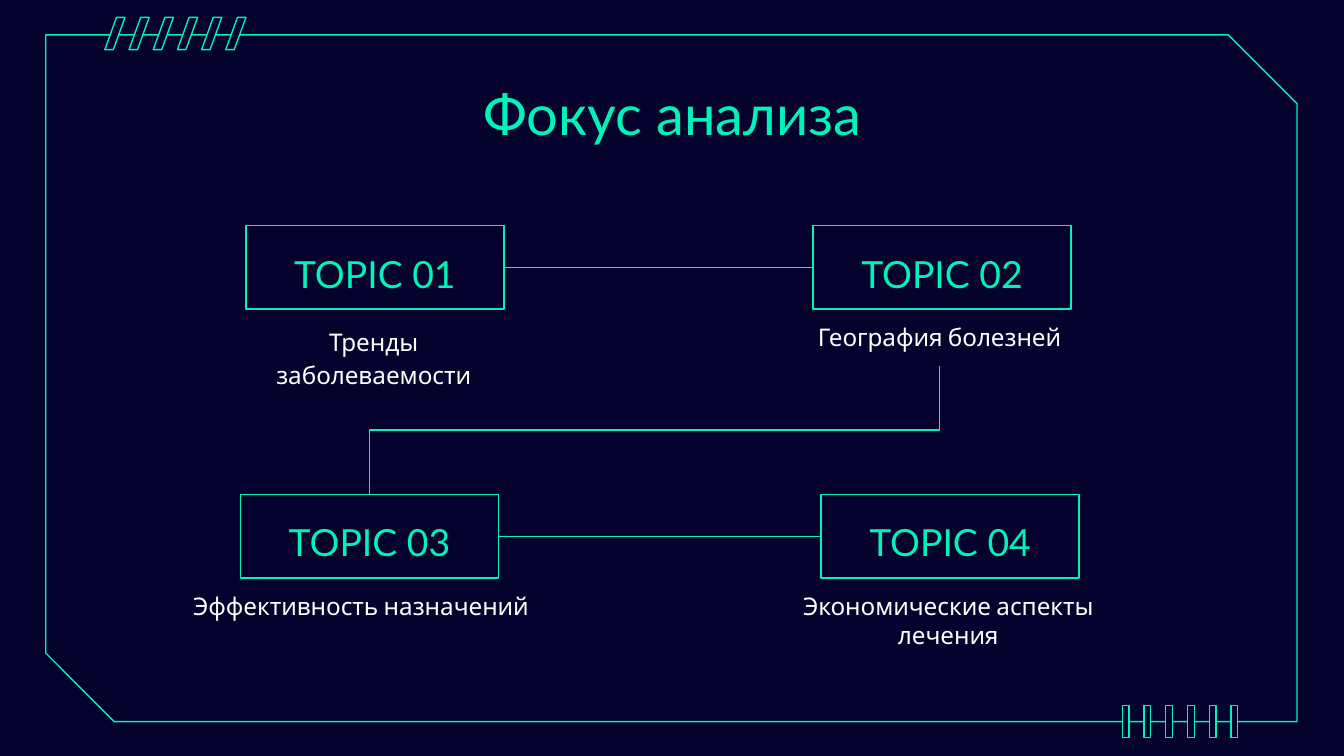
import pptx
import pptx.util
import pptx.dml.color
import pptx.enum.shapes
import pptx.enum.text
import pptx.oxml
import pptx.oxml.ns

Inches = pptx.util.Inches
Pt = pptx.util.Pt
SHAPE = pptx.enum.shapes.MSO_SHAPE
CONNECTOR = pptx.enum.shapes.MSO_CONNECTOR
ANCHOR = pptx.enum.text.MSO_ANCHOR
COLORS = {
    name: pptx.dml.color.RGBColor.from_string(value)
    for name, value in {"night": "05022D", "mint": "00F3B8", "white": "FFFFFF"}.items()
}

prs = pptx.Presentation()
prs.slide_width = Inches(10)
prs.slide_height = Inches(10 * 9 / 16)
slide = prs.slides.add_slide(prs.slide_layouts[6])
slide.background.fill.solid()
slide.background.fill.fore_color.rgb = COLORS["night"]


def add_outlined(kind, left, top, width, height, fill=None):
    shape = slide.shapes.add_shape(
        kind, Inches(left), Inches(top), Inches(width), Inches(height))
    shape.shadow.inherit = False
    if fill:
        shape.fill.solid()
        shape.fill.fore_color.rgb = COLORS[fill]
    else:
        shape.fill.background()
    shape.line.color.rgb = COLORS["mint"]
    shape.line.width = Pt(0.75)
    return shape


def write(shape, text, size, font, color, anchor=ANCHOR.TOP, spacing=1.0):
    """Put one centred paragraph into the shape."""
    frame = shape.text_frame
    frame.word_wrap = True
    frame.vertical_anchor = anchor
    frame.margin_left = frame.margin_right = Inches(0.1)
    frame.margin_top = frame.margin_bottom = Inches(0.1)
    paragraph = frame.paragraphs[0]
    paragraph.text = text
    paragraph.alignment = pptx.enum.text.PP_ALIGN.CENTER
    paragraph.line_spacing = spacing
    paragraph.font.size = Pt(size)
    paragraph.font.name = font
    paragraph.font.color.rgb = COLORS[color]


# Frame with its two rows of ticks
frame_outline = add_outlined(SHAPE.SNIP_2_DIAG_RECTANGLE, 0.34, 0.26, 9.31, 5.11)
frame_outline.adjustments[0] = 0
frame_outline.adjustments[1] = 0.1
for i in range(6):
    add_outlined(SHAPE.RECTANGLE, 8.35 + i * 0.81 / 5, 5.25, 0.05, 0.24, "night")
    slash = add_outlined(SHAPE.PARALLELOGRAM, 0.78 + i * 0.18, 0.13, 0.15, 0.24, "night")
    slash.adjustments[0] = 0.58

title = slide.shapes.add_textbox(Inches(0.79), Inches(0.49), Inches(8.43), Inches(0.63))
write(title, "Фокус анализа", 30, "Lato", "mint")

# Box left, row top, caption left, caption width, caption, caption line spacing
topics = [
    (1.83, 1.68, 1.63, 2.3, "Тренды заболеваемости", 1.15),
    (6.05, 1.68, 5.79, 2.4, "География болезней", 1.0),
    (1.79, 3.68, 1.27, 2.83, "Эффективность назначений", 1.0),
    (6.11, 3.68, 5.72, 2.67, "Экономические аспекты лечения", 1.0),
]
topic_boxes = []
for number, (left, top, caption_left, caption_width, text, spacing) in enumerate(topics, 1):
    caption = slide.shapes.add_textbox(
        Inches(caption_left), Inches(top + 0.62), Inches(caption_width), Inches(0.41))
    write(caption, text, 13, "Cabin", "white", spacing=spacing)
    box = add_outlined(SHAPE.RECTANGLE, left, top, 1.92, 0.62)
    write(box, f"TOPIC {number:02}", 20, "Lato", "mint", ANCHOR.BOTTOM, 1.15)
    topic_boxes.append(box)

# Links along each row, then the step down from topic 02 to topic 03
links = []
for start, end in (topic_boxes[:2], topic_boxes[2:]):
    row_link = slide.shapes.add_connector(CONNECTOR.STRAIGHT, 0, 0, 0, 0)
    row_link.begin_connect(start, 3)
    row_link.end_connect(end, 1)
    links.append(row_link)

# A quarter turn makes the elbow leave and arrive vertically
step_down = slide.shapes.add_connector(
    CONNECTOR.ELBOW, Inches(4.39), Inches(1.08), Inches(5.35), Inches(5.32))
step_down._element.spPr.find(pptx.oxml.ns.qn("a:xfrm")).set("rot", "5400000")
links.append(step_down)

for link in links:
    link.line.color.rgb = COLORS["mint"]
    link.line.width = Pt(0.75)
    link._element.spPr.append(pptx.oxml.parse_xml(
        f"<a:effectLst {pptx.oxml.ns.nsdecls('a')}/>"))

prs.save("out.pptx")
